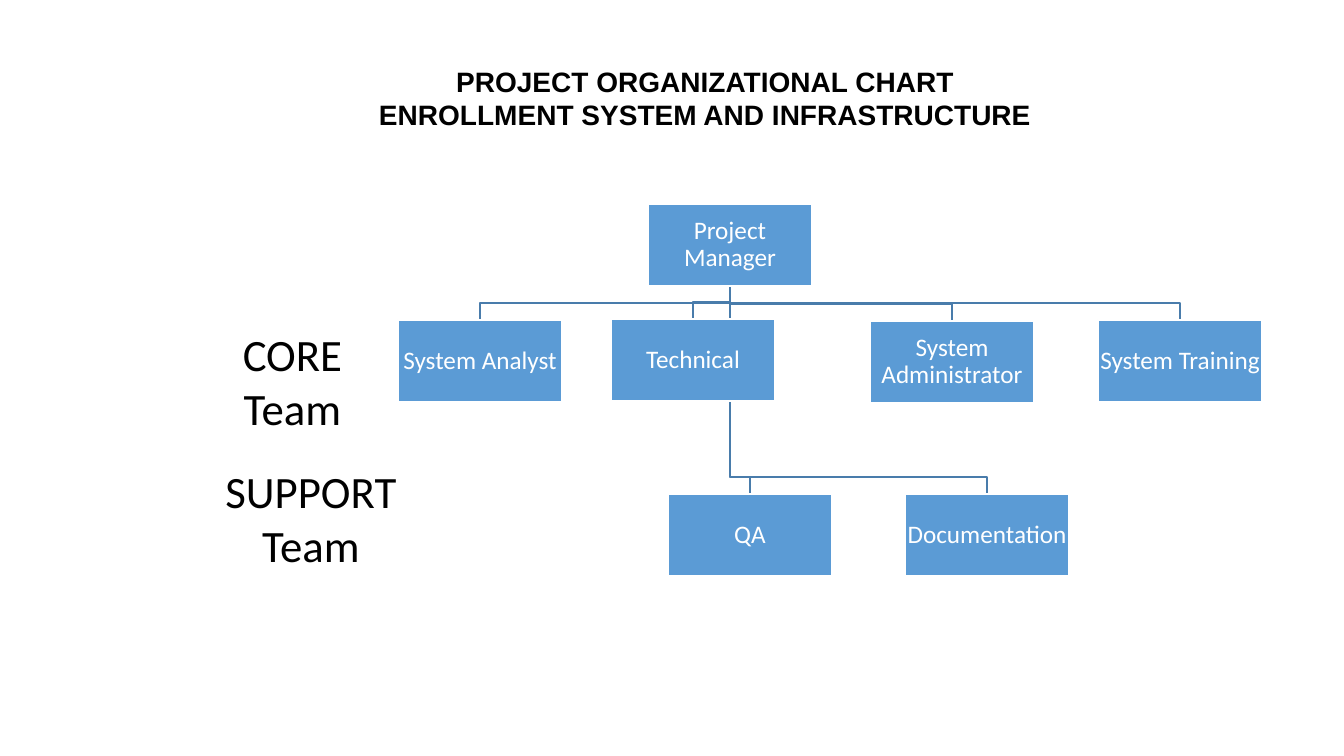
import dataclasses

import pptx
import pptx.dml.color
import pptx.enum.shapes
import pptx.enum.text
import pptx.util

SCALE = 914400 / 100.8
WIDE, HIGH = 164, 82
DROP = 17


@dataclasses.dataclass(frozen=True)
class Theme:
    fill: str = "5B9BD5"
    line: str = "497CAB"
    white: str = "FFFFFF"
    black: str = "000000"
    head: str = "Arial"
    body: str = "Calibri"
    title: int = 20
    box: int = 18
    label: int = 32
    rule: int = 1


THEME = Theme()

ROOT = ("Project Manager", 648, 204)
CORE = [
    ("System Analyst", 398, 320),
    ("Technical", 611, 319),
    ("System Administrator", 870, 321),
    ("System Training", 1098, 320),
]
SUPPORT = [("QA", 668, 494), ("Documentation", 905, 494)]
LABELS = [
    ("CORE\nTeam", 205, 322, 175),
    ("SUPPORT\nTeam", 207, 459, 208),
]
TITLE = "PROJECT ORGANIZATIONAL CHART\nENROLLMENT SYSTEM AND INFRASTRUCTURE"


def px(num):
    return pptx.util.Emu(round(num * SCALE))


def color(code):
    return pptx.dml.color.RGBColor.from_string(code)


def write(frame, text, font, size, code, bold=False, space=1.0):
    frame.text = text
    for para in frame.paragraphs:
        para.alignment = pptx.enum.text.PP_ALIGN.CENTER
        para.line_spacing = space
        for run in para.runs:
            run.font.name = font
            run.font.size = pptx.util.Pt(size)
            run.font.bold = bold
            run.font.color.rgb = color(code)


def add_title(slide):
    title = slide.shapes.title
    title.left, title.top = px(366), px(59)
    title.width, title.height = px(678), px(78)
    frame = title.text_frame
    write(frame, TITLE, THEME.head, THEME.title, THEME.black, bold=True)
    frame.word_wrap = False
    frame.auto_size = pptx.enum.text.MSO_AUTO_SIZE.NONE
    frame.vertical_anchor = pptx.enum.text.MSO_ANCHOR.TOP
    frame.margin_top, frame.margin_bottom = px(5), 0


def add_link(slide, child):
    name, left, top = child
    start = ROOT[1] + WIDE // 2
    end = left + WIDE // 2
    bend = top - DROP
    path = slide.shapes.build_freeform(start, ROOT[2] + HIGH, scale=SCALE)
    path.add_line_segments([(start, bend), (end, bend), (end, top)], close=False)
    link = path.convert_to_shape()
    link.shadow.inherit = False
    link.fill.background()
    link.line.color.rgb = color(THEME.line)
    link.line.width = pptx.util.Pt(THEME.rule)


def add_box(slide, node):
    name, left, top = node
    kind = pptx.enum.shapes.MSO_SHAPE.RECTANGLE
    box = slide.shapes.add_shape(kind, px(left), px(top), px(WIDE), px(HIGH))
    box.shadow.inherit = False
    box.fill.solid()
    box.fill.fore_color.rgb = color(THEME.fill)
    box.line.color.rgb = color(THEME.white)
    box.line.width = pptx.util.Pt(THEME.rule)
    frame = box.text_frame
    write(frame, name, THEME.body, THEME.box, THEME.white, space=0.9)
    frame.word_wrap = True
    frame.vertical_anchor = pptx.enum.text.MSO_ANCHOR.MIDDLE
    frame.margin_left = frame.margin_right = px(1)
    frame.margin_top = frame.margin_bottom = px(1)


def add_label(slide, text, left, top, width):
    label = slide.shapes.add_textbox(px(left), px(top), px(width), px(119))
    frame = label.text_frame
    write(frame, text, THEME.body, THEME.label, THEME.black)
    frame.word_wrap = True


def main():
    deck = pptx.Presentation()
    deck.slide_width, deck.slide_height = px(1344), px(756)
    slide = deck.slides.add_slide(deck.slide_layouts.get_by_name("Title Only"))
    team = CORE + SUPPORT
    for child in reversed(team):
        add_link(slide, child)
    for node in [ROOT] + team:
        add_box(slide, node)
    for label in LABELS:
        add_label(slide, *label)
    add_title(slide)
    deck.save("out.pptx")


if __name__ == "__main__":
    main()
